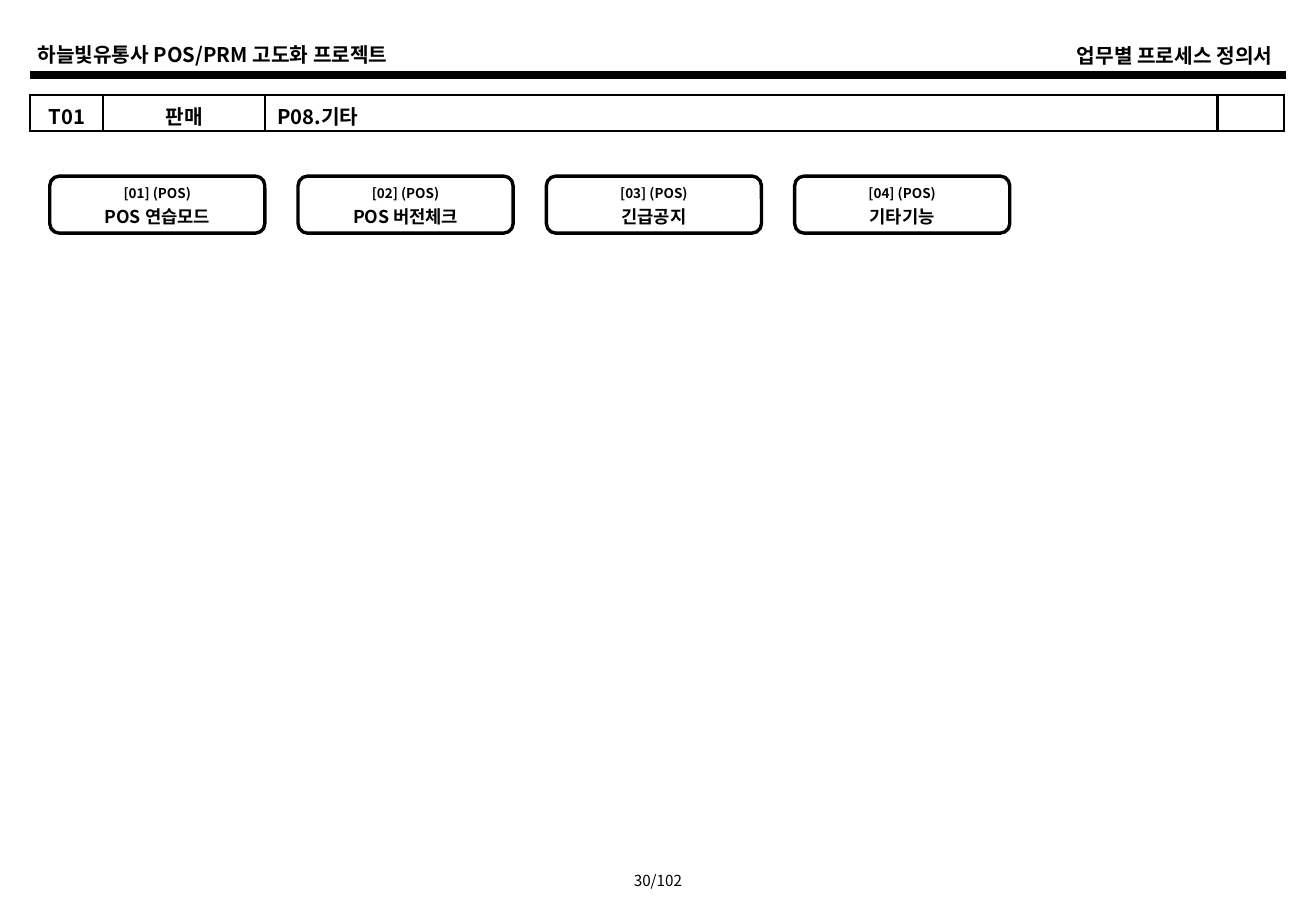
from lxml import etree
from pptx import Presentation
from pptx import util as u
from pptx.dml.color import RGBColor
from pptx.enum import shapes, text
from pptx.oxml.ns import qn

# Content
FONT = "Noto Sans CJK KR"
BLACK, WHITE = "000000", "FFFFFF"
LEFT, CENTER, RIGHT = text.PP_ALIGN.LEFT, text.PP_ALIGN.CENTER, text.PP_ALIGN.RIGHT
LABELS = [  # text, left, top, width, height, size, bold, alignment
    ("30/102", 4.95, 7.12, 0.93, 0.25, 9, False, CENTER),
    ("하늘빛유통사 POS/PRM 고도화 프로젝트", 0.21, 0.3, 4.15, 0.3, 12, True, LEFT),
    ("업무별 프로세스 정의서", 6.42, 0.31, 4.15, 0.3, 12, True, RIGHT),
]
COLUMNS = [("T01", 0.6, CENTER), ("판매", 1.33, CENTER),
           ("P08.기타", 7.84, LEFT), ("", 0.55, CENTER)]
CARDS = [("[01] (POS)", "POS 연습모드"), ("[02] (POS)", "POS 버전체크"),
         ("[03] (POS)", "긴급공지"), ("[04] (POS)", "기타기능")]
CARD_FIRST, CARD_LAST, CARD_TOP, CARD_W, CARD_H = 0.41, 6.54, 1.45, 1.77, 0.47


def color(hex_code):
    return RGBColor.from_string(hex_code)


def write(p, value, size, bold, align):
    p.alignment = align
    p.font.size, p.font.bold, p.font.name = u.Pt(size), bold, FONT
    p.font.color.rgb = color(BLACK)
    props = p._p.find(".//" + qn("a:defRPr"))
    etree.SubElement(props, qn("a:ea"), typeface=FONT)
    if value:
        p.add_run().text = value
    else:
        etree.SubElement(p._p, qn("a:endParaRPr"), sz=str(size * 100))


def add_borders(cell, width):
    tc_pr = cell._tc.get_or_add_tcPr()
    for i, side in enumerate(("lnL", "lnR", "lnT", "lnB")):
        ln = etree.Element(qn("a:" + side), w=str(u.Pt(width)))
        fill = etree.SubElement(ln, qn("a:solidFill"))
        etree.SubElement(fill, qn("a:srgbClr"), val=BLACK)
        tc_pr.insert(i, ln)


prs = Presentation()
prs.slide_width, prs.slide_height = u.Inches(10.83), u.Inches(7.5)
s = prs.slides.add_slide(prs.slide_layouts[6])

# Header and page number
for value, x, y, w, h, size, bold, align in LABELS:
    tf = s.shapes.add_textbox(*map(u.Inches, (x, y, w, h))).text_frame
    tf.word_wrap = True
    tf.vertical_anchor = text.MSO_ANCHOR.MIDDLE
    write(tf.paragraphs[0], value, size, bold, align)

# Header rule
rule = s.shapes.add_connector(shapes.MSO_CONNECTOR.STRAIGHT,
                              *map(u.Inches, (0.25, 0.62, 10.58, 0.62)))
rule.line.width, rule.line.color.rgb = u.Pt(4.5), color(BLACK)
etree.SubElement(rule._element.spPr, qn("a:effectLst"))

# Process title table
total = sum(w for _, w, _ in COLUMNS)
table = s.shapes.add_table(1, len(COLUMNS),
                           *map(u.Inches, (0.25, 0.78, total, 0.3))).table
table.first_row = table.horz_banding = False
for i, (value, w, align) in enumerate(COLUMNS):
    table.columns[i].width = u.Inches(w)
    cell = table.cell(0, i)
    cell.margin_bottom = 0
    cell.fill.background()
    add_borders(cell, 1.5)
    write(cell.text_frame.paragraphs[0], value, 12, True, align)

# Process cards
pitch = (CARD_LAST - CARD_FIRST) / (len(CARDS) - 1)
for i, (code, name) in enumerate(CARDS):
    sp = s.shapes.add_shape(
        shapes.MSO_SHAPE.ROUNDED_RECTANGLE,
        *map(u.Inches, (CARD_FIRST + i * pitch, CARD_TOP, CARD_W, CARD_H)))
    sp.shadow.inherit = False
    sp.fill.solid()
    sp.fill.fore_color.rgb = color(WHITE)
    sp.line.width, sp.line.color.rgb = u.Pt(2), color(BLACK)
    tf = sp.text_frame
    tf.word_wrap = True
    tf.vertical_anchor = text.MSO_ANCHOR.MIDDLE
    tf.margin_left = tf.margin_right = u.Inches(0.04)
    tf.margin_top = tf.margin_bottom = u.Inches(0.04)
    for p, value, size in ((tf.paragraphs[0], code, 8),
                           (tf.add_paragraph(), name, 10.5)):
        p.line_spacing = 1.2
        write(p, value, size, True, CENTER)

prs.save("out.pptx")
